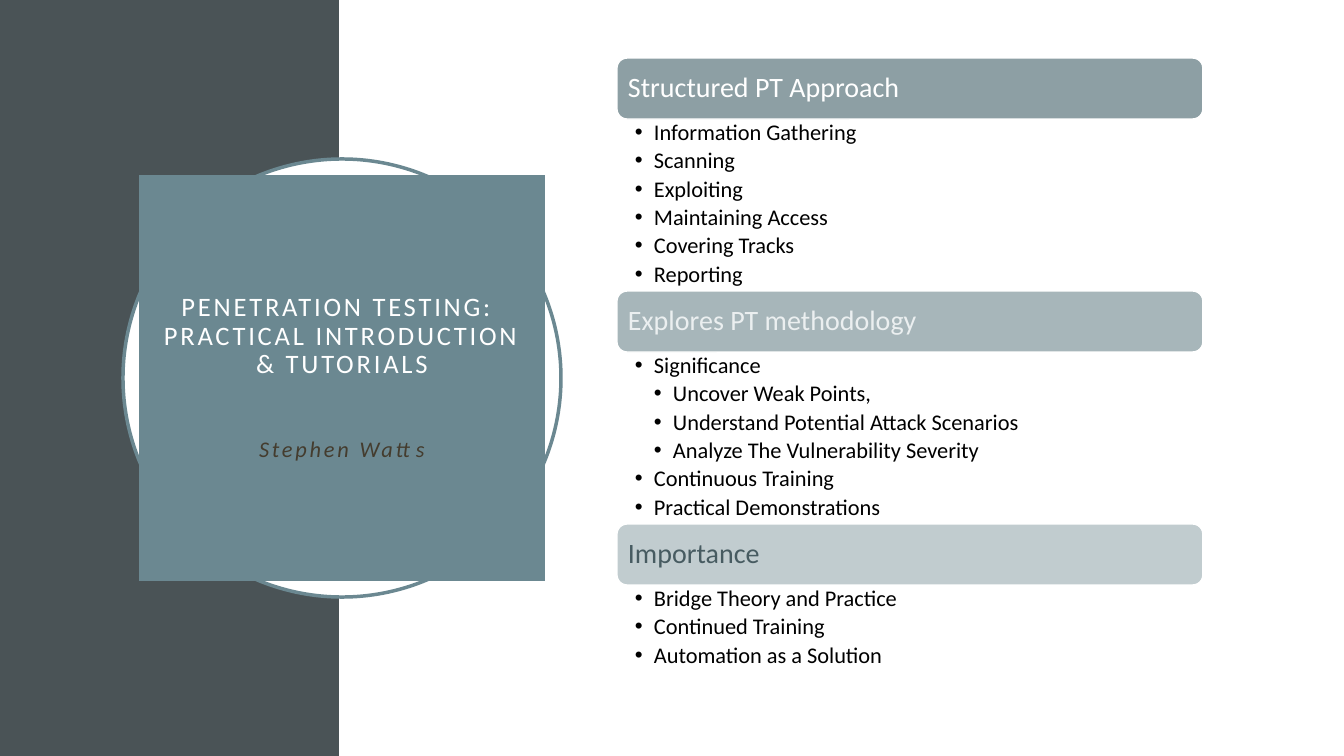
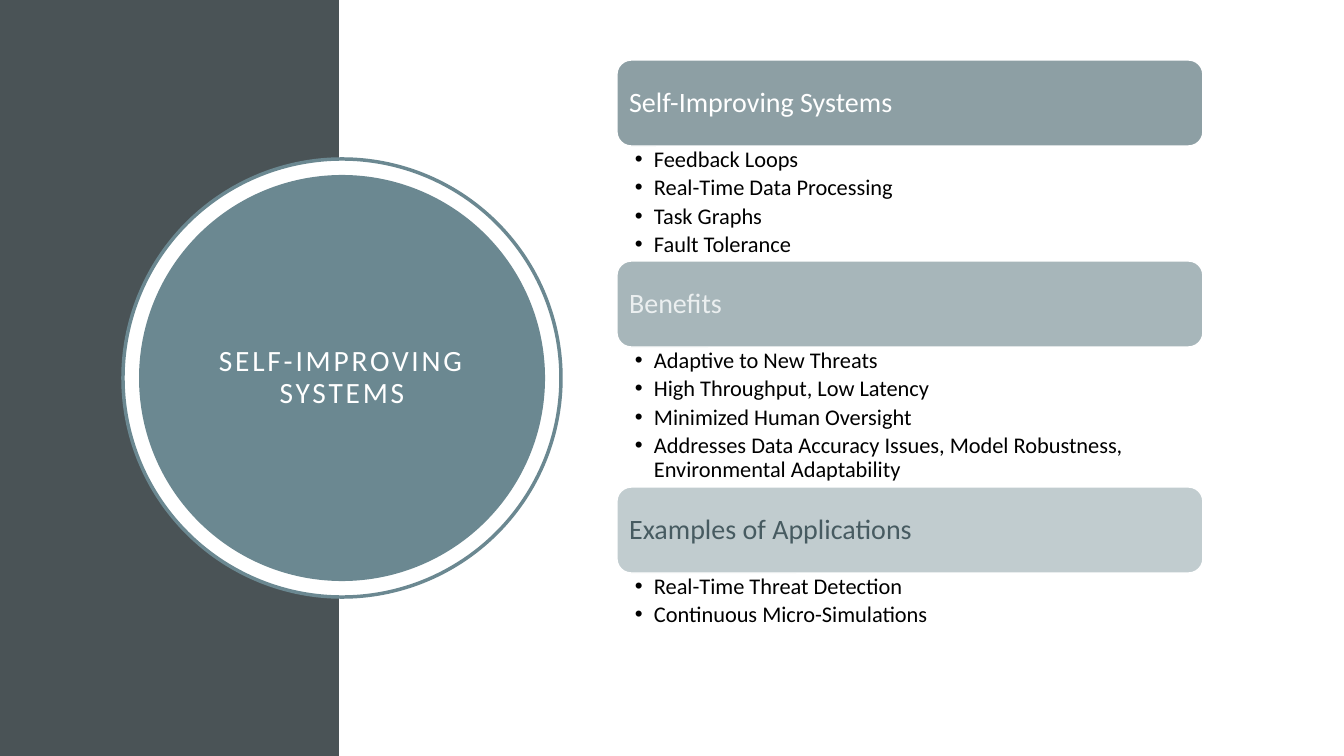
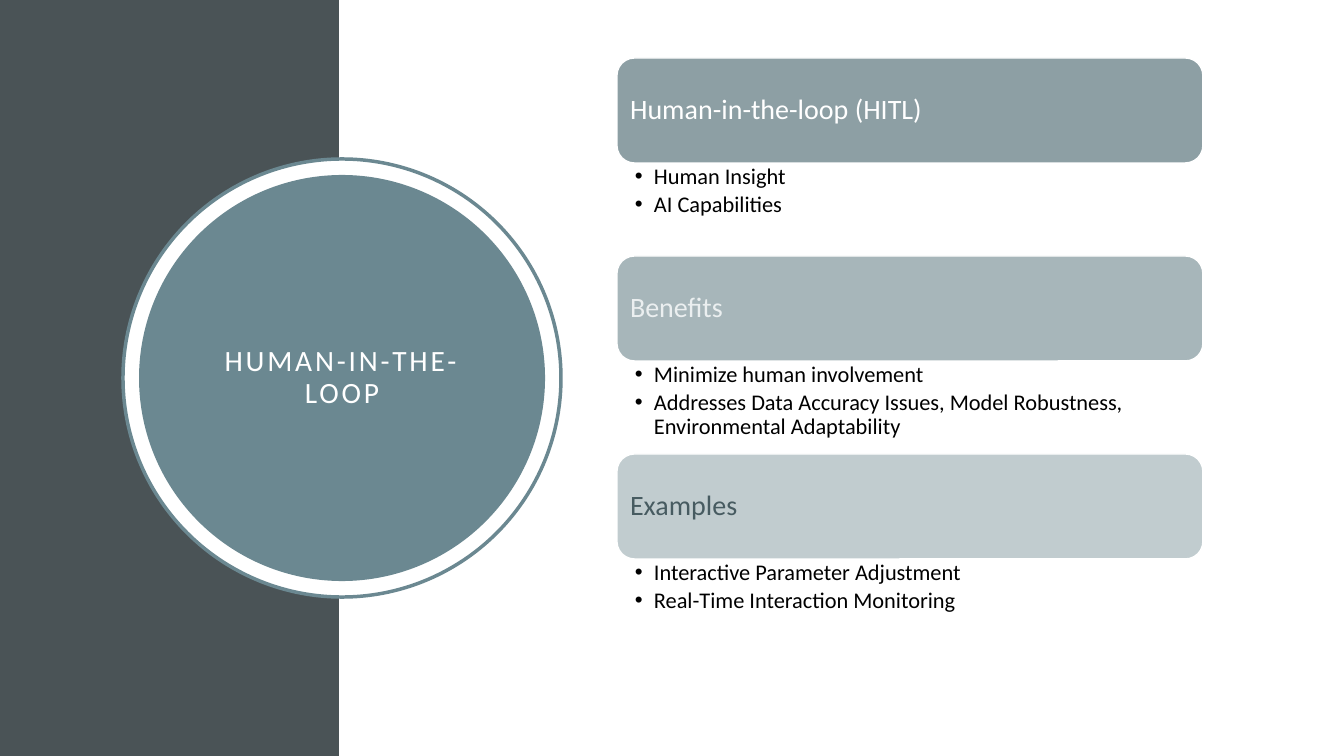
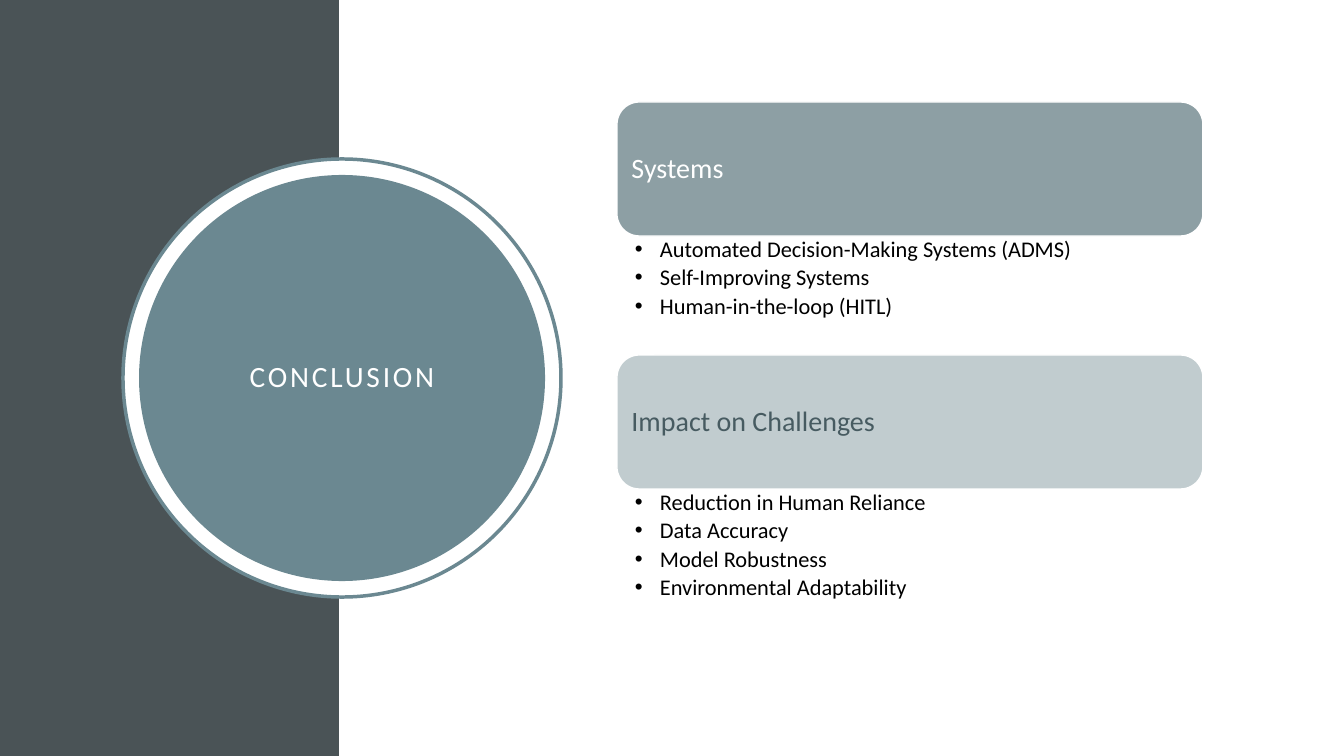
from dataclasses import dataclass

from lxml.etree import SubElement
from pptx import Presentation
from pptx.dml.color import RGBColor
from pptx.enum.shapes import MSO_SHAPE
from pptx.enum.text import MSO_ANCHOR, MSO_AUTO_SIZE, PP_ALIGN
from pptx.oxml.ns import qn
from pptx.util import Pt

PX = 9144000 / 1008
SLIDE_SIZE = (1344, 756)
FONT = "Calibri"

SLATE = RGBColor(0x4A, 0x53, 0x56)
TEAL = RGBColor(0x6B, 0x88, 0x91)
WHITE = RGBColor(0xFF, 0xFF, 0xFF)
BLACK = RGBColor(0x00, 0x00, 0x00)
BROWN = RGBColor(0x44, 0x3C, 0x2E)

# Header fill and header text colour
DARK = (RGBColor(0x8D, 0x9F, 0xA4), WHITE)
MIDDLE = (RGBColor(0xA7, 0xB6, 0xBA), RGBColor(0xEB, 0xEF, 0xF0))
LIGHT = (RGBColor(0xC1, 0xCC, 0xCF), RGBColor(0x47, 0x5B, 0x61))

BAND = (0, 0, 339, 756)
RING = (123, 159, 438, 438)
DISC = (139, 175, 406, 406)
LIST_LEFT, LIST_WIDTH = 617, 586


@dataclass
class Section:
    """A header and its bullets; a tuple holds bullets one level deeper."""
    heading: str
    bullets: list
    body_height: int


@dataclass
class SectionList:
    top: int
    header_height: int
    sections: list
    indent: int = 19


def px(length):
    return round(length * PX)


def emu(box):
    return [px(length) for length in box]


def add_shape(slide, kind, box, fill, line=None, line_width=1):
    shape = slide.shapes.add_shape(kind, *emu(box))
    shape.shadow.inherit = False
    shape.fill.solid()
    shape.fill.fore_color.rgb = fill
    if line is None:
        shape.line.fill.background()
    else:
        shape.line.color.rgb = line
        shape.line.width = Pt(line_width)
    return shape


def prepare_frame(shape, insets, anchor):
    frame = shape.text_frame
    frame.word_wrap = True
    frame.auto_size = MSO_AUTO_SIZE.NONE
    frame.vertical_anchor = anchor
    (frame.margin_left, frame.margin_top,
     frame.margin_right, frame.margin_bottom) = emu(insets)
    return frame


def format_paragraph(paragraph, size, color, align=PP_ALIGN.LEFT, tracking=0, italic=False):
    paragraph.alignment = align
    paragraph.line_spacing = 0.9
    for run in paragraph.runs:
        run.font.name = FONT
        run.font.size = Pt(size)
        run.font.color.rgb = color
        run.font.italic = italic
        if tracking:
            run.font._element.set("spc", str(tracking * 100))


def set_bullet(paragraph, level, indent):
    paragraph.level = level
    properties = paragraph._p.get_or_add_pPr()
    properties.set("marL", str(px(indent * level)))
    properties.set("indent", str(-px(indent)))
    SubElement(properties, qn("a:buFont"), typeface="Arial")
    SubElement(properties, qn("a:buChar"), char="•")


def add_backdrop(slide):
    add_shape(slide, MSO_SHAPE.RECTANGLE, BAND, SLATE)
    add_shape(slide, MSO_SHAPE.OVAL, RING, WHITE, TEAL, 2.5)


def place_title(slide, box, text, size, inset):
    """Put the title placeholder in front of the shapes drawn so far."""
    title = slide.shapes.title
    slide.shapes.element.append(title.element)
    title.left, title.top, title.width, title.height = emu(box)
    frame = prepare_frame(title, [inset] * 4, MSO_ANCHOR.MIDDLE)
    frame.paragraphs[0].text = text
    format_paragraph(frame.paragraphs[0], size, WHITE, PP_ALIGN.CENTER, tracking=2)
    return title


def add_square_title(slide, box, text, author):
    title = place_title(slide, box, text, 19, 20)
    title.fill.solid()
    title.fill.fore_color.rgb = TEAL
    paragraph = title.text_frame.add_paragraph()
    paragraph.text = author
    paragraph.space_before = Pt(42)
    format_paragraph(paragraph, 16, BROWN, PP_ALIGN.CENTER, tracking=2, italic=True)


def add_disc_title(slide, box, text):
    add_shape(slide, MSO_SHAPE.OVAL, box, TEAL)
    left, top, width, height = box
    margin = round(width * 0.15)
    inner = (left + margin, top + margin, width - 2 * margin, height - 2 * margin)
    place_title(slide, inner, text, 21, 10)


def add_header(slide, box, text, colors):
    fill, color = colors
    header = add_shape(slide, MSO_SHAPE.ROUNDED_RECTANGLE, box, fill, WHITE)
    frame = prepare_frame(header, [8] * 4, MSO_ANCHOR.MIDDLE)
    frame.text = text
    format_paragraph(frame.paragraphs[0], 20, color)


def flatten(bullets, level=1):
    for bullet in bullets:
        if isinstance(bullet, tuple):
            yield from flatten(bullet, level + 1)
        else:
            yield level, bullet


def add_bullets(slide, box, bullets, indent):
    body = slide.shapes.add_textbox(*emu(box))
    frame = prepare_frame(body, (18, 2, 12, 2), MSO_ANCHOR.TOP)
    for index, (level, text) in enumerate(flatten(bullets)):
        paragraph = frame.add_paragraph() if index else frame.paragraphs[0]
        paragraph.text = text
        format_paragraph(paragraph, 16, BLACK)
        paragraph.space_after = Pt(3)
        set_bullet(paragraph, level, indent)


def add_section_list(slide, left, width, content):
    top = content.top
    palette = (DARK, MIDDLE, LIGHT) if len(content.sections) == 3 else (DARK, LIGHT)
    for section, colors in zip(content.sections, palette):
        add_header(slide, (left, top, width, content.header_height), section.heading, colors)
        top += content.header_height
        add_bullets(slide, (left, top, width, section.body_height),
                    section.bullets, content.indent)
        top += section.body_height


def add_topic_slide(presentation, title, content, author=None):
    slide = presentation.slides.add_slide(presentation.slide_layouts.get_by_name("Title Only"))
    add_backdrop(slide)
    if author:
        add_square_title(slide, DISC, title, author)
    else:
        add_disc_title(slide, DISC, title)
    add_section_list(slide, LIST_LEFT, LIST_WIDTH, content)


ROBUSTNESS = "Addresses Data Accuracy Issues, Model Robustness, Environmental Adaptability"

INTRODUCTION = SectionList(58, 61, [
    Section("Structured PT Approach", [
        "Information Gathering", "Scanning", "Exploiting",
        "Maintaining Access", "Covering Tracks", "Reporting"], 172),
    Section("Explores PT methodology", [
        "Significance",
        ("Uncover Weak Points,", "Understand Potential Attack Scenarios",
         "Analyze The Vulnerability Severity"),
        "Continuous Training", "Practical Demonstrations"], 172),
    Section("Importance", [
        "Bridge Theory and Practice", "Continued Training",
        "Automation as a Solution"], 116),
])

SELF_IMPROVING = SectionList(60, 86, [
    Section("Self-Improving Systems", [
        "Feedback Loops", "Real-Time Data Processing",
        "Task Graphs", "Fault Tolerance"], 115),
    Section("Benefits", [
        "Adaptive to New Threats", "High Throughput, Low Latency",
        "Minimized Human Oversight", ROBUSTNESS], 140),
    Section("Examples of Applications", [
        "Real-Time Threat Detection", "Continuous Micro-Simulations"], 77),
])

HUMAN_IN_THE_LOOP = SectionList(58, 105, [
    Section("Human-in-the-loop (HITL)", ["Human Insight", "AI Capabilities"], 93),
    Section("Benefits", ["Minimize human involvement", ROBUSTNESS], 93),
    Section("Examples", [
        "Interactive Parameter Adjustment", "Real-Time Interaction Monitoring"], 93),
])

CONCLUSION = SectionList(102, 134, [
    Section("Systems", [
        "Automated Decision-Making Systems (ADMS)", "Self-Improving Systems",
        "Human-in-the-loop (HITL)"], 119),
    Section("Impact on Challenges", [
        "Reduction in Human Reliance", "Data Accuracy",
        "Model Robustness", "Environmental Adaptability"], 119),
], indent=25)


def main():
    presentation = Presentation()
    presentation.slide_width, presentation.slide_height = emu(SLIDE_SIZE)
    add_topic_slide(presentation,
                    "PENETRATION TESTING: \vPRACTICAL INTRODUCTION & TUTORIALS",
                    INTRODUCTION, author="Stephen Watts")
    add_topic_slide(presentation, "SELF-IMPROVING SYSTEMS", SELF_IMPROVING)
    add_topic_slide(presentation, "HUMAN-IN-THE-LOOP", HUMAN_IN_THE_LOOP)
    add_topic_slide(presentation, "CONCLUSION", CONCLUSION)
    presentation.save("out.pptx")


if __name__ == "__main__":
    main()
